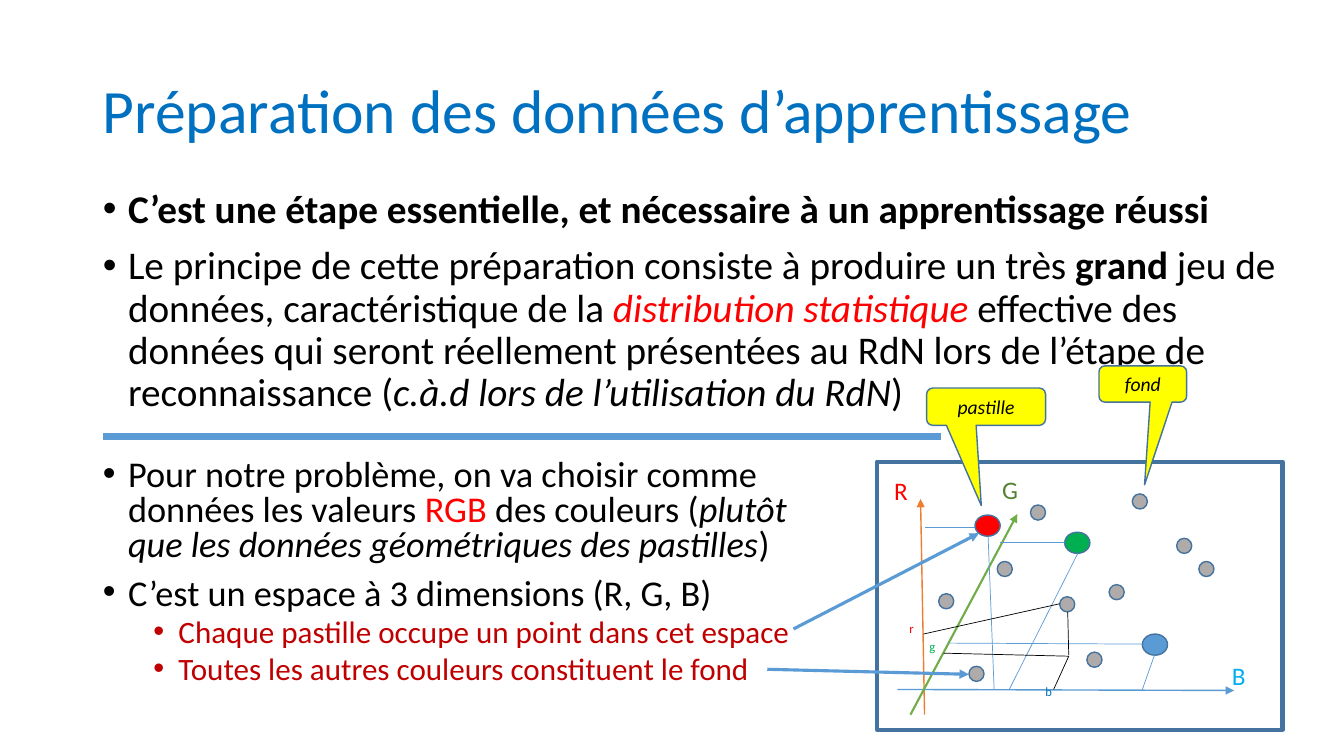
import pptx
import pptx.util
import pptx.dml.color
import pptx.enum.shapes
import pptx.enum.text
import pptx.oxml.ns
from lxml import etree

Inches = pptx.util.Inches
Pt = pptx.util.Pt
MSO_SHAPE = pptx.enum.shapes.MSO_SHAPE
PP_ALIGN = pptx.enum.text.PP_ALIGN
MSO_ANCHOR = pptx.enum.text.MSO_ANCHOR
MSO_AUTO_SIZE = pptx.enum.text.MSO_AUTO_SIZE
qn = pptx.oxml.ns.qn

BLACK, RED, BLUE, BORDER = "000000", "FF0000", "5B9BD5", "43739E"
DARK_RED, GREEN, SKY, GRAY, YELLOW = "C00000", "00B050", "0070C0", "AFABAB", "FFFF00"


def rgb(color):
    return pptx.dml.color.RGBColor.from_string(color)


def style_run(r, size, color, bold=False, italic=False):
    f = r.font
    f.name, f.size, f.bold, f.italic = "Calibri", Pt(size), bold, italic
    f.color.rgb = rgb(color)


def place(sp, left, top, width, height):
    sp.left, sp.top = Inches(left), Inches(top)
    sp.width, sp.height = Inches(width), Inches(height)


def set_title(s, text):
    sp = s.shapes.title
    place(sp, 0.92, 0.4, 11.5, 1.45)
    tf = sp.text_frame
    tf.text = text
    tf.auto_size = MSO_AUTO_SIZE.NONE
    tf.vertical_anchor = MSO_ANCHOR.MIDDLE
    p = tf.paragraphs[0]
    p.alignment, p.line_spacing = PP_ALIGN.LEFT, 0.9
    style_run(p.runs[0], 44, SKY)


def set_bullet(p, level):
    p.level = level
    pPr = p._p.get_or_add_pPr()
    pPr.set("marL", str(Inches(0.25 + 0.5 * level)))
    pPr.set("indent", str(Inches(-0.25)))
    font = etree.SubElement(pPr, qn("a:buFont"))
    font.set("typeface", "Arial")
    etree.SubElement(pPr, qn("a:buChar")).set("char", "•")


def fill_list(sp, box, spacing, items):
    place(sp, *box)
    tf = sp.text_frame
    tf.auto_size = MSO_AUTO_SIZE.NONE
    for i, (level, size, runs) in enumerate(items):
        p = tf.add_paragraph() if i else tf.paragraphs[0]
        p.line_spacing = spacing
        p.space_before, p.space_after = Pt(5 if level else 10), Pt(0)
        set_bullet(p, level)
        for text, color, bold, italic in runs:
            r = p.add_run()
            r.text = text
            style_run(r, size, color, bold, italic)


def add_shape(s, kind, box, fill=None, weight=1):
    sp = s.shapes.add_shape(kind, *map(Inches, box))
    sp.shadow.inherit = False
    if fill:
        sp.fill.solid()
        sp.fill.fore_color.rgb = rgb(fill)
    else:
        sp.fill.background()
    sp.line.color.rgb = rgb(BORDER)
    sp.line.width = Pt(weight)
    return sp


def add_line(s, ends, color, weight, arrow=False):
    cx = s.shapes.add_connector(pptx.enum.shapes.MSO_CONNECTOR.STRAIGHT, *map(Inches, ends))
    cx.line.color.rgb = rgb(color)
    cx.line.width = Pt(weight)
    if arrow:
        etree.SubElement(cx.line._get_or_add_ln(), qn("a:tailEnd")).set("type", "triangle")
    etree.SubElement(cx._element.spPr, qn("a:effectLst"))


def add_label(s, text, box, size, color):
    tf = s.shapes.add_textbox(*map(Inches, box)).text_frame
    tf.word_wrap = True
    tf.text = text
    style_run(tf.paragraphs[0].runs[0], size, color)


def add_callout(s, text, box, tip):
    sp = add_shape(s, MSO_SHAPE.ROUNDED_RECTANGULAR_CALLOUT, box, YELLOW)
    sp.adjustments[0], sp.adjustments[1] = tip
    tf = sp.text_frame
    tf.text = text
    tf.vertical_anchor = MSO_ANCHOR.MIDDLE
    p = tf.paragraphs[0]
    p.alignment = PP_ALIGN.CENTER
    style_run(p.runs[0], 14, BLACK, italic=True)


def draw_color_space(s):
    add_shape(s, MSO_SHAPE.RECTANGLE, (8.7, 4.58, 4.02, 2.66), weight=3)
    add_line(s, (9.17, 7.09, 9.13, 4.95), "ED7D31", 1, True)
    add_line(s, (8.9, 6.84, 12.24, 6.85), BLUE, 1, True)
    add_line(s, (9.03, 7.09, 10.09, 5.1), "70AD47", 1.5, True)
    for text, left, top, color in (("R", 8.77, 4.67, RED), ("G", 9.84, 4.66, "548235"),
                                   ("B", 12.12, 6.5, "00B0F0")):
        add_label(s, text, (left, top, 0.5, 0.56), 18, color)
    for left, top, color in ((11.33, 6.29, BLUE), (9.67, 5.11, RED), (10.56, 5.28, GREEN)):
        add_shape(s, MSO_SHAPE.OVAL, (left, top, 0.25, 0.21), color)
    for ends in ((9.67, 5.23, 9.17, 5.23), (9.8, 5.32, 9.86, 6.84), (11.33, 6.39, 9.4, 6.38),
                 (10.56, 5.38, 9.92, 5.38), (10.69, 5.49, 10.01, 6.84), (11.45, 6.5, 11.33, 6.84)):
        add_line(s, ends, BLUE, 0.5)
    for left, top in ((11.67, 5.34), (11.89, 5.57), (11, 5.8), (11.23, 4.9), (10.51, 5.92),
                      (10.78, 6.47), (9.89, 5.57), (10.22, 5.01), (9.31, 5.89), (9.61, 6.61)):
        add_shape(s, MSO_SHAPE.OVAL, (left, top, 0.15, 0.15), GRAY)
    for ends in ((10.6, 6.51, 10.45, 6.84), (10.51, 5.99, 9.16, 6.29),
                 (10.59, 6.07, 10.6, 6.5), (10.6, 6.51, 9.36, 6.48)):
        add_line(s, ends, BLACK, 0.5)
    for text, left, top, color in (("r", 8.92, 6.11, RED), ("b", 10.27, 6.74, SKY),
                                   ("g", 9.12, 6.29, GREEN)):
        add_label(s, text, (left, top, 0.36, 0.35), 9, color)
    add_callout(s, "pastille", (9.19, 3.85, 1.18, 0.37), (-0.04, 2.65))
    add_callout(s, "fond", (10.9, 3.63, 0.87, 0.36), (0.02, 2.78))


def main():
    prs = pptx.Presentation()
    prs.slide_width, prs.slide_height = Inches(13.33), Inches(7.5)
    s = prs.slides.add_slide(prs.slide_layouts.get_by_name("Two Content"))
    set_title(s, "Préparation des données d’apprentissage")
    fill_list(s.placeholders[1], (0.92, 1.83, 12.07, 2.55), 0.9, [
        (0, 28, [("C’est une étape essentielle, et nécessaire à un apprentissage réussi",
                  BLACK, True, False)]),
        (0, 28, [("Le principe de cette préparation consiste à produire un très ", BLACK, False, False),
                 ("grand", BLACK, True, False),
                 (" jeu de données, caractéristique de la ", BLACK, False, False),
                 ("distribution statistique ", RED, False, True),
                 ("effective des données qui seront réellement présentées au RdN lors de "
                  "l’étape de reconnaissance (", BLACK, False, False),
                 ("c.à.d lors de l’utilisation du RdN", BLACK, False, True),
                 (")", BLACK, False, False)]),
    ])
    draw_color_space(s)
    fill_list(s.placeholders[2], (0.92, 4.51, 7.52, 2.47), 0.8, [
        (0, 25.9, [("Pour notre problème, on va choisir comme données les valeurs ", BLACK, False, False),
                   ("RGB", RED, False, False),
                   (" des couleurs (", BLACK, False, False),
                   ("plutôt que les données géométriques des pastilles", BLACK, False, True),
                   (")", BLACK, False, False)]),
        (0, 25.9, [("C’est un espace à 3 dimensions (R, G, B)", BLACK, False, False)]),
        (1, 22.2, [("Chaque pastille occupe un point dans cet espace", DARK_RED, False, False)]),
        (1, 22.2, [("Toutes les autres couleurs constituent le fond", DARK_RED, False, False)]),
    ])
    add_line(s, (7.87, 6.24, 9.71, 5.29), BLUE, 2.25, True)
    add_line(s, (7.61, 6.64, 9.61, 6.69), BLUE, 2.25, True)
    add_line(s, (1.02, 4.33, 9.33, 4.33), BLUE, 4.5)
    prs.save("out.pptx")


main()
